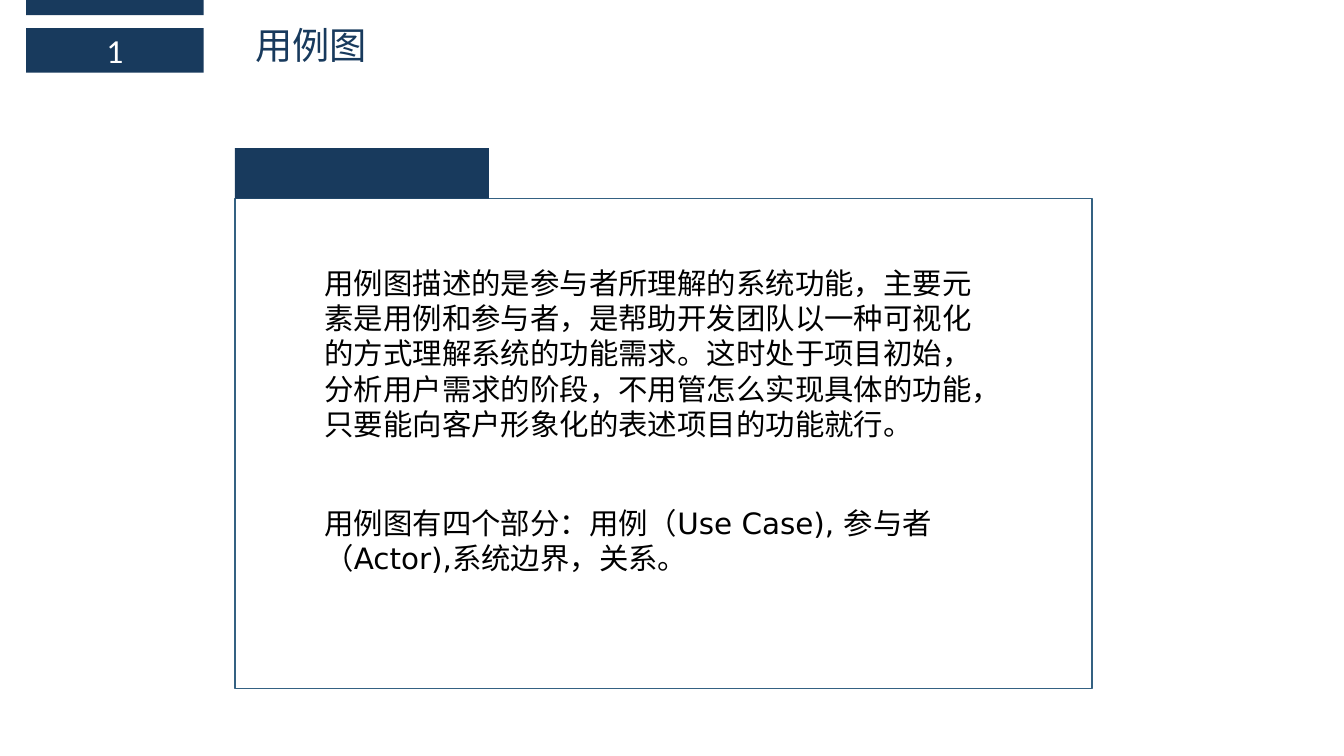
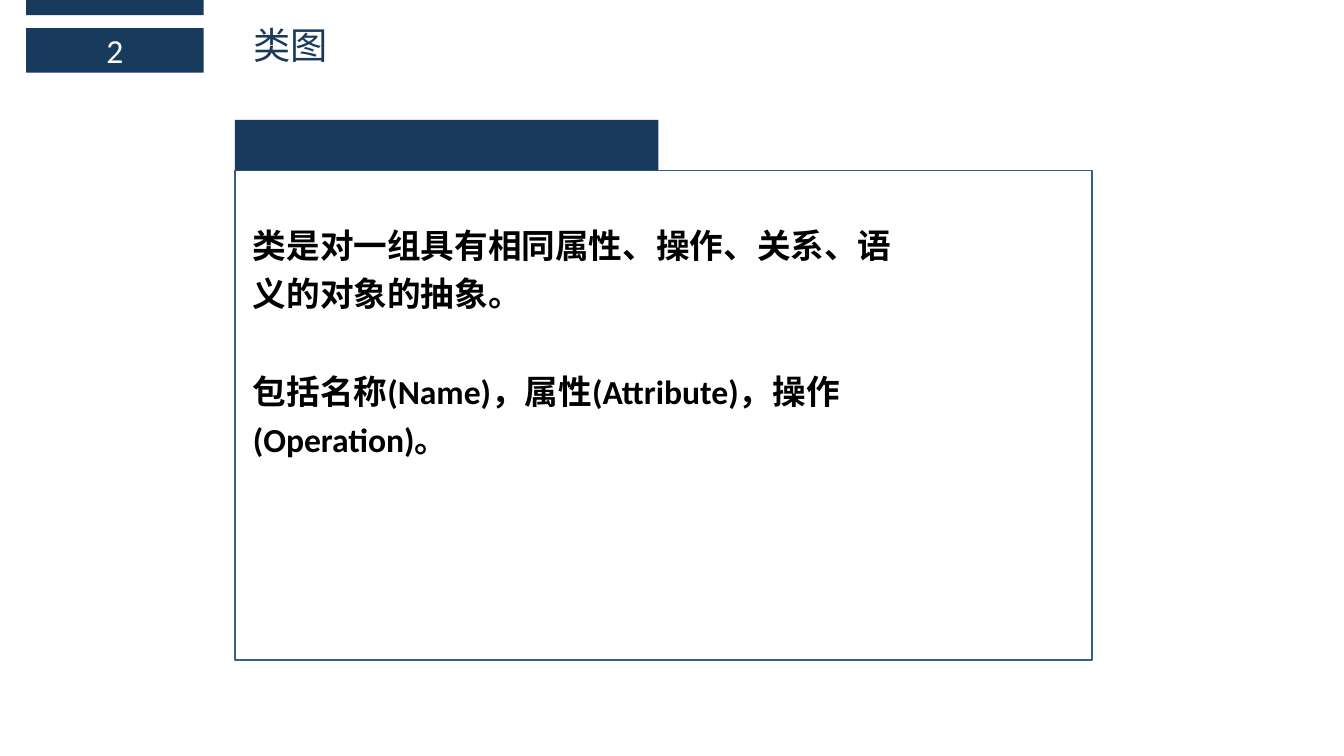
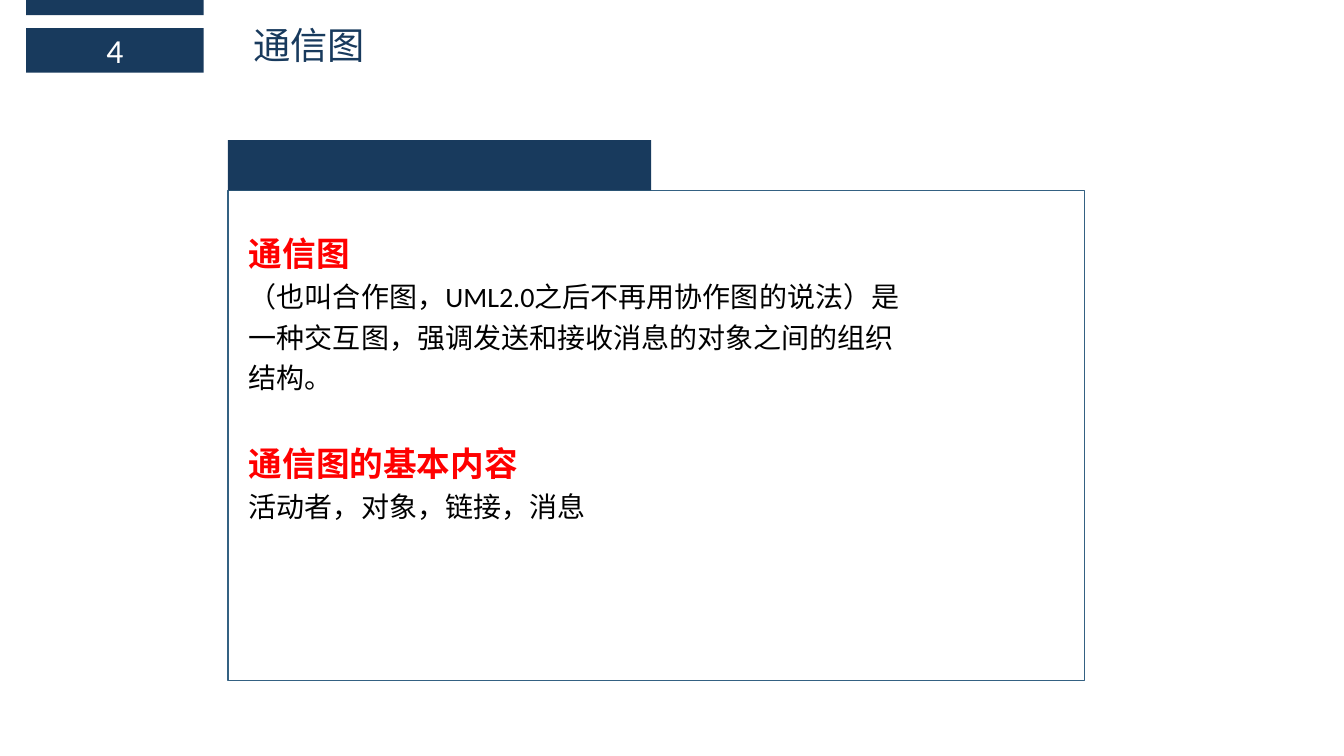
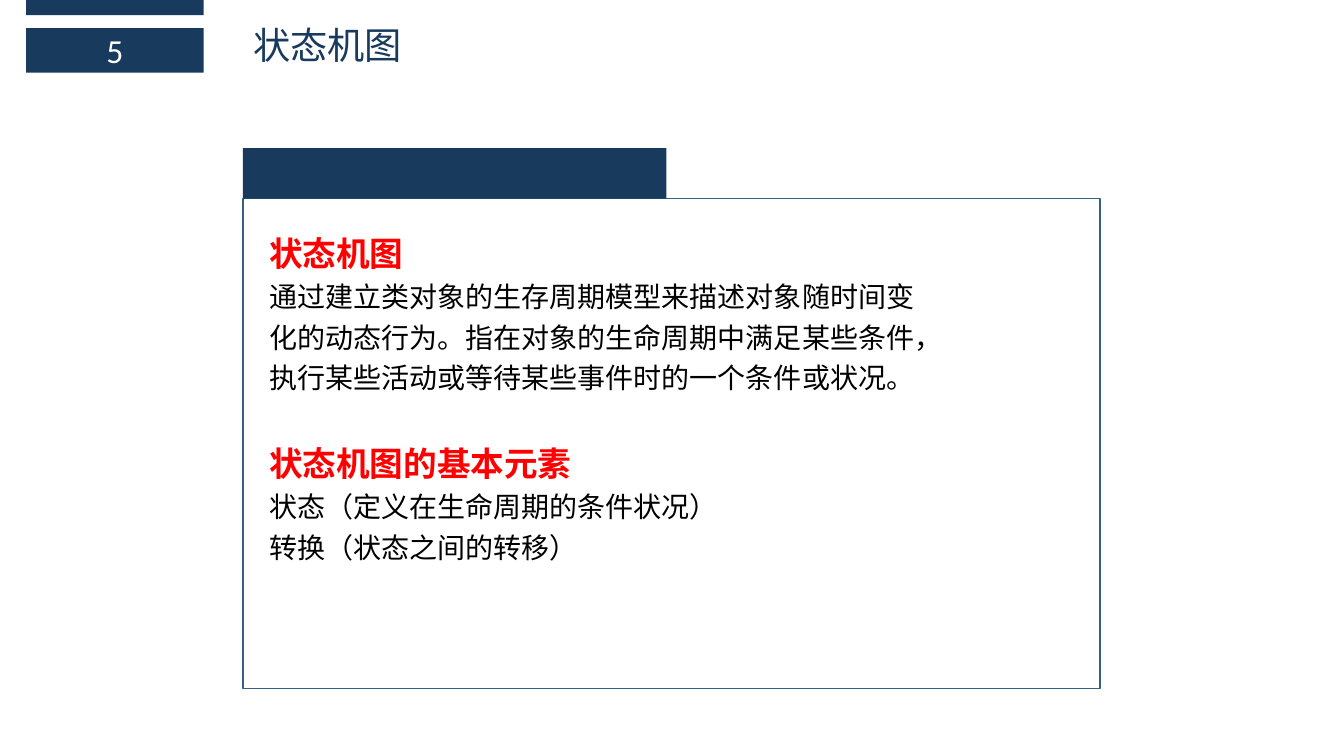
"""Build four slides introducing UML diagram types."""
import pptx
import pptx.dml.color
import pptx.enum.shapes
import pptx.enum.text
import pptx.oxml.ns
import pptx.util
from lxml import etree

PX = 9144
NAVY, FRAME, WHITE, BLACK, RED = "183A5D", "346182", "FFFFFF", "000000", "FF0000"
FRAME_W, FRAME_H, TAB_H = 850, 486, 50
BODY_W = 666


def rgb(value):
    return pptx.dml.color.RGBColor.from_string(value)


def style(p, latin, asian, size, color, bold=False):
    p.font.name = latin
    p.font.size = pptx.util.Pt(size)
    p.font.color.rgb = rgb(color)
    p.font.bold = bold
    ea = etree.Element(pptx.oxml.ns.qn("a:ea"), typeface=asian)
    p.font._element.find(pptx.oxml.ns.qn("a:latin")).addnext(ea)


# name: font, size, colour, bold, line spacing, space before in points
KINDS = {
    "plain": ("DejaVu Sans", 21, BLACK, False, 1.0, 0),
    "strong": ("Calibri", 24, BLACK, True, 1.2, 35),
    "heading": ("Calibri", 24, RED, True, 1.2, 29),
    "detail": ("Calibri", 20, BLACK, False, 1.2, 0),
}

# number, title, title left, frame left, tab top, tab width, text boxes
SLIDES = [
    ("1", "用例图", 243, 233, 147, 252, [
        (312, 258, 187, [
            ("plain", "用例图描述的是参与者所理解的系统功能，主要元素是用例和参与者，是帮助开发团队以一种可视化的方式理解系统的功能需求。这时处于项目初始，分析用户需求的阶段，不用管怎么实现具体的功能，只要能向客户形象化的表述项目的功能就行。"),
        ]),
        (312, 496, 81, [
            ("plain", "用例图有四个部分：用例（Use Case), 参与者（Actor),系统边界，关系。"),
        ]),
    ]),
    ("2", "类图", 241, 233, 119, 420, [
        (241, 210, 252, [
            ("strong", "类是对一组具有相同属性、操作、关系、语义的对象的抽象。"),
            ("strong", "包括名称(Name)，属性(Attribute)，操作(Operation)。"),
        ]),
    ]),
    ("4", "通信图", 241, 226, 139, 420, [
        (237, 218, 309, [
            ("heading", "通信图"),
            ("detail", "（也叫合作图，UML2.0之后不再用协作图的说法）是一种交互图，强调发送和接收消息的对象之间的组织结构。"),
            ("heading", "通信图的基本内容"),
            ("detail", "活动者，对象，链接，消息"),
        ]),
    ]),
    ("5", "状态机图", 241, 241, 147, 420, [
        (257, 218, 349, [
            ("heading", "状态机图"),
            ("detail", "通过建立类对象的生存周期模型来描述对象随时间变化的动态行为。指在对象的生命周期中满足某些条件，执行某些活动或等待某些事件时的一个条件或状况。"),
            ("heading", "状态机图的基本元素"),
            ("detail", "状态（定义在生命周期的条件状况）"),
            ("detail", "转换（状态之间的转移）"),
        ]),
    ]),
]

prs = pptx.Presentation()
prs.slide_width, prs.slide_height = 1333 * PX, 750 * PX

for number, title, title_x, frame_x, tab_y, tab_w, boxes in SLIDES:
    s = prs.slides.add_slide(prs.slide_layouts[5])

    sp = s.shapes.title
    sp.left, sp.top, sp.width, sp.height = title_x * PX, 17 * PX, 662 * PX, 55 * PX
    tf = sp.text_frame
    tf.text = title
    tf.vertical_anchor = pptx.enum.text.MSO_ANCHOR.TOP
    tf.auto_size = pptx.enum.text.MSO_AUTO_SIZE.SHAPE_TO_FIT_TEXT
    p = tf.paragraphs[0]
    p.alignment = pptx.enum.text.PP_ALIGN.LEFT
    style(p, "Noto Sans CJK SC", "Calibri", 26.6, NAVY)

    for x, y, w, h, fill, text in [
        (26, 0, 176, 15, NAVY, ""),
        (26, 28, 176, 44, NAVY, number),
        (frame_x, tab_y + TAB_H, FRAME_W, FRAME_H, None, ""),
        (frame_x, tab_y, tab_w, TAB_H, NAVY, ""),
    ]:
        sp = s.shapes.add_shape(pptx.enum.shapes.MSO_SHAPE.RECTANGLE,
                                x * PX, y * PX, w * PX, h * PX)
        sp.shadow.inherit = False
        if fill:
            sp.fill.solid()
            sp.fill.fore_color.rgb = rgb(fill)
            sp.line.fill.background()
        else:
            sp.fill.background()
            sp.line.color.rgb = rgb(FRAME)
            sp.line.width = pptx.util.Pt(1)
        if text:
            tf = sp.text_frame
            tf.text = text
            tf.vertical_anchor = pptx.enum.text.MSO_ANCHOR.MIDDLE
            p = tf.paragraphs[0]
            p.alignment = pptx.enum.text.PP_ALIGN.CENTER
            style(p, "Calibri", "Calibri", 24, WHITE)

    for x, y, h, paragraphs in boxes:
        tf = s.shapes.add_textbox(x * PX, y * PX, BODY_W * PX, h * PX).text_frame
        tf.word_wrap = True
        tf.auto_size = pptx.enum.text.MSO_AUTO_SIZE.SHAPE_TO_FIT_TEXT
        for i, (kind, text) in enumerate(paragraphs):
            font, size, color, bold, spacing, before = KINDS[kind]
            p = tf.add_paragraph() if i else tf.paragraphs[0]
            p.text = text
            p.line_spacing = spacing
            p.space_before = pptx.util.Pt(before if i else 0)
            style(p, font, font, size, color, bold)

prs.save("out.pptx")
